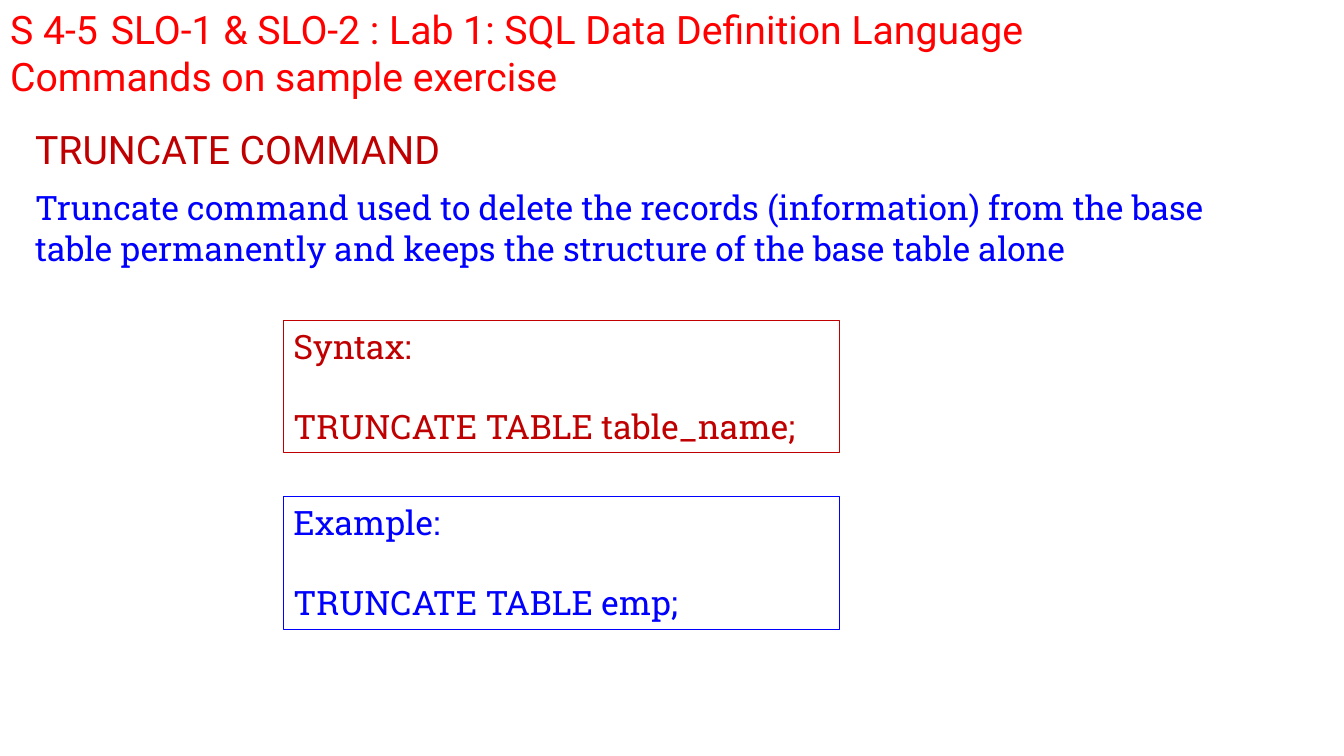
from pptx import Presentation
from pptx.dml.color import RGBColor
from pptx.enum.shapes import MSO_SHAPE
from pptx.enum.text import MSO_ANCHOR, MSO_AUTO_SIZE, PP_ALIGN
from pptx.util import Pt

RECT = MSO_SHAPE.RECTANGLE
TOP = MSO_ANCHOR.TOP
FIXED = MSO_AUTO_SIZE.NONE
LEFT = PP_ALIGN.LEFT

RED = RGBColor(0xFF, 0x00, 0x00)
DARK = RGBColor(0xC0, 0x00, 0x00)
BLUE = RGBColor(0x00, 0x00, 0xFF)
SANS = "Roboto"
SLAB = "Roboto Slab"


def place(shape, left, top, width, height):
    shape.left, shape.top = Pt(left), Pt(top)
    shape.width, shape.height = Pt(width), Pt(height)


def set_frame(shape):
    """Wrap the text, start it at the top and return its frame."""
    frame = shape.text_frame
    frame.word_wrap = True
    frame.auto_size = FIXED
    frame.vertical_anchor = TOP
    return frame


def write(para, text, face, size, color, before=0, lines=1.0):
    para.text = text
    para.alignment = LEFT
    para.space_before = Pt(before)
    para.line_spacing = lines
    para.font.name = face
    para.font.size = Pt(size)
    para.font.color.rgb = color


def add_title(slide, text):
    title = slide.shapes.title
    place(title, 0, 0, 864, 75)
    write(set_frame(title).paragraphs[0], text, SANS, 28, RED)


def add_body(slide, head, text):
    body = slide.shapes.add_textbox(Pt(18), Pt(90), Pt(878), Pt(124))
    frame = set_frame(body)
    write(frame.paragraphs[0], head, SANS, 28, DARK, lines=0.9)
    write(frame.add_paragraph(), text, SLAB, 24, BLUE, before=10)


def add_code(slide, top, label, code, color):
    """Draw an outlined box with a label and, one line lower, a command."""
    box = slide.shapes.add_shape(RECT, Pt(202.5), Pt(top), Pt(397.5), Pt(94.5))
    box.shadow.inherit = False
    box.fill.background()
    box.line.color.rgb = color
    box.line.width = Pt(0.75)
    frame = set_frame(box)
    write(frame.paragraphs[0], label, SLAB, 24, color)
    write(frame.add_paragraph(), code, SLAB, 24, color, before=28.5)


def main():
    deck = Presentation()
    deck.slide_width, deck.slide_height = Pt(960), Pt(540)
    slide = deck.slides.add_slide(deck.slide_layouts[5])
    add_title(slide, "S 4-5\tSLO-1 & SLO-2 : Lab 1: SQL Data Definition "
                     "Language Commands on sample exercise")
    add_body(slide, "TRUNCATE COMMAND",
             "Truncate command used to delete the records (information) from "
             "the base table permanently and keeps the structure of the base "
             "table alone")
    add_code(slide, 229, "Syntax:", "TRUNCATE TABLE table_name;", DARK)
    add_code(slide, 355, "Example:", "TRUNCATE TABLE emp;", BLUE)
    deck.save("out.pptx")


if __name__ == "__main__":
    main()
